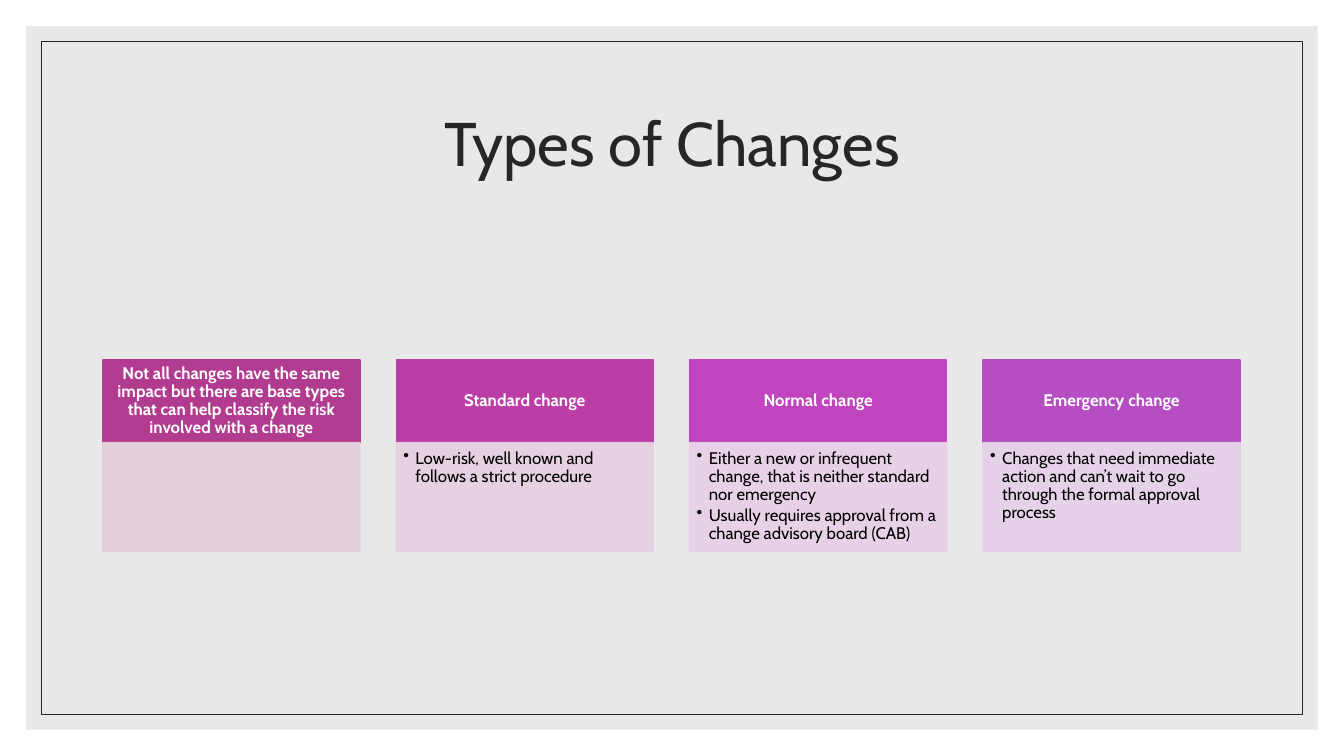
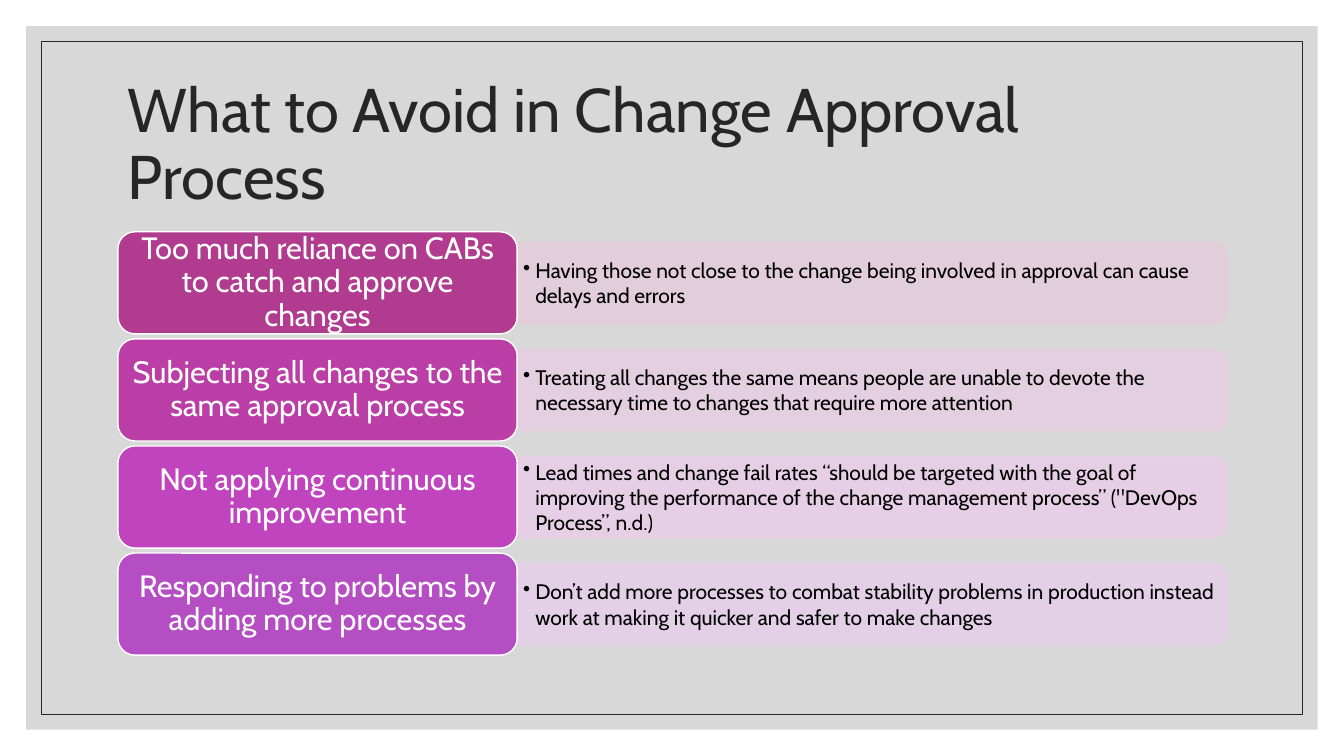
from lxml.etree import SubElement as Sub
from pptx import Presentation
from pptx.dml.color import RGBColor
from pptx.enum.shapes import MSO_SHAPE as Kind
from pptx.enum.text import MSO_ANCHOR as Anchor, PP_ALIGN as Align
from pptx.oxml.ns import qn
from pptx.util import Inches, Pt

# Shared look
WIDE, HIGH = 13.33, 7.5
FONT, INK, WHITE, BLACK = "Cabin", "262626", "FFFFFF", "000000"
HEADS = ["B13B8E", "BA3EA6", "C044BE", "B54DC3"]
TINTS = ["E4CEDB", "E6CFE1", "E8CFE7", "E5D0E9"]
BAND, RULE = 0.26, 0.41  # margins of the grey band and the thin frame
INDENT = 0.12

# Slide 1: four columns, each a head above a body
TYPES = [
    ("Not all changes have the same impact but there are base types that can "
     "help classify the risk involved with a change", []),
    ("Standard change",
     ["Low-risk, well known and follows a strict procedure "]),
    ("Normal change",
     ["Either a new or infrequent change, that is neither standard nor emergency",
      "Usually requires approval from a change advisory board (CAB)"]),
    ("Emergency change",
     ["Changes that need immediate action and can’t wait to go through the "
      "formal approval process"]),
]
COL, GAP, LEFT = 2.55, 0.36, 1.02
TOP, HEAD, BODY = 3.57, 0.82, 1.08

# Slide 2: four rows, each a label beside a bar
AVOID = [
    ("Too much reliance on CABs to catch and approve changes",
     "Having those not close to the change being involved in approval can "
     "cause delays and errors"),
    ("Subjecting all changes to the same approval process",
     "Treating all changes the same means people are unable to devote the "
     "necessary time to changes that require more attention"),
    ("Not applying continuous improvement",
     "Lead times and change fail rates “should be targeted with the goal of "
     "improving the performance of the change management process” "
     "(\"DevOps Process”, n.d.)"),
    ("Responding to problems by adding more processes",
     "Don’t add more processes to combat stability problems in production "
     "instead work at making it quicker and safer to make changes"),
]
SIDE, FIRST, LAST, SPLIT = 1.17, 2.3, 6.5, 0.05
LABEL, BAR, THICK = 3.96, 7.04, 0.81


def tone(code):
    return RGBColor.from_string(code)


def put(shape, lines, size=12, color=BLACK, bold=False, align=Align.LEFT,
        anchor=Anchor.MIDDLE, inset=(0.09, 0.05, 0.09, 0.05), lead=0.9,
        after=0, dot=False):
    """Write the paragraphs of a shape or text box."""
    frame = shape.text_frame
    frame.word_wrap = True
    frame.vertical_anchor = anchor
    (frame.margin_left, frame.margin_top,
     frame.margin_right, frame.margin_bottom) = map(Inches, inset)
    for n, line in enumerate(lines):
        para = frame.add_paragraph() if n else frame.paragraphs[0]
        para.alignment, para.line_spacing = align, lead
        para.space_after = Pt(after)
        run = para.add_run()
        run.text = line
        font = run.font
        font.name, font.size, font.bold = FONT, Pt(size), bold
        font.color.rgb = tone(color)
        if dot:
            props = para._p.get_or_add_pPr()
            props.set("marL", str(Inches(INDENT)))
            props.set("indent", str(-Inches(INDENT)))
            Sub(props, qn("a:buChar"), char="•")


def block(slide, kind, box, fill=None, line=None, width=1, alpha=100):
    """Add a preset shape; alpha applies to both fill and line."""
    shape = slide.shapes.add_shape(kind, *map(Inches, box))
    shape.shadow.inherit = False
    if fill:
        shape.fill.solid()
        shape.fill.fore_color.rgb = tone(fill)
    else:
        shape.fill.background()
    if line:
        shape.line.color.rgb = tone(line)
        shape.line.width = Pt(width)
    else:
        shape.line.fill.background()
    if alpha < 100:
        for color in shape._element.spPr.iter(qn("a:srgbClr")):
            Sub(color, qn("a:alpha"), val=str(alpha * 1000))
    return shape


def label(slide, box, lines, **style):
    put(slide.shapes.add_textbox(*map(Inches, box)), lines, **style)


def inner(edge):
    return edge, edge, WIDE - 2 * edge, HIGH - 2 * edge


def start(deck, title, band, align):
    """Add a slide with its band, frame and title."""
    slide = deck.slides.add_slide(deck.slide_layouts[6])
    block(slide, Kind.RECTANGLE, inner(BAND), fill=band, alpha=60)
    block(slide, Kind.RECTANGLE, inner(RULE), line=INK, width=0.5)
    label(slide, (SIDE, 0.7, 11, 1.5), [title], size=44, color=INK,
          align=align, inset=(0.1, 0.05, 0.1, 0.05))
    return slide


def card(slide, n, head, notes):
    left = LEFT + n * (COL + GAP)
    top = block(slide, Kind.RECTANGLE, (left, TOP, COL, HEAD),
                fill=HEADS[n], line=HEADS[n])
    put(top, [head], color=WHITE, bold=True, align=Align.CENTER)
    body = block(slide, Kind.RECTANGLE, (left, TOP + HEAD, COL, BODY),
                 fill=TINTS[n], line=TINTS[n], alpha=90)
    if notes:
        put(body, notes, anchor=Anchor.TOP, inset=(0.07, 0.07, 0.09, 0.1),
            after=1.8, dot=True)


def row(slide, n, head, note):
    pitch = (LAST - FIRST + SPLIT) / len(AVOID)
    top, high = FIRST + n * pitch, pitch - SPLIT
    left, mid = SIDE + LABEL, top + high / 2
    # The bar stands upright, then turns so its round end faces right
    bar = block(slide, Kind.ROUND_2_SAME_RECTANGLE,
                (left + (BAR - THICK) / 2, mid - BAR / 2, THICK, BAR),
                fill=TINTS[n], line=TINTS[n], alpha=90)
    bar.rotation = 90
    label(slide, (left, mid - THICK / 2 + 0.04, BAR - 0.04, THICK - 0.08),
          [note], size=15, inset=(0.06, 0.03, 0.06, 0.03), lead=1, dot=True,
          after=2.25)
    tab = block(slide, Kind.ROUNDED_RECTANGLE, (SIDE, top, LABEL, high),
                fill=HEADS[n], line=WHITE)
    put(tab, [head], size=22, color=WHITE, align=Align.CENTER)


def main():
    deck = Presentation()
    deck.slide_width, deck.slide_height = Inches(WIDE), Inches(HIGH)

    slide = start(deck, "Types of Changes", "D9D9D9", Align.CENTER)
    for n, (head, notes) in enumerate(TYPES):
        card(slide, n, head, notes)

    slide = start(deck, "What to Avoid in Change Approval Process", "BFBFBF",
                  Align.LEFT)
    for n, (head, note) in enumerate(AVOID):
        row(slide, n, head, note)

    deck.save("out.pptx")


if __name__ == "__main__":
    main()
